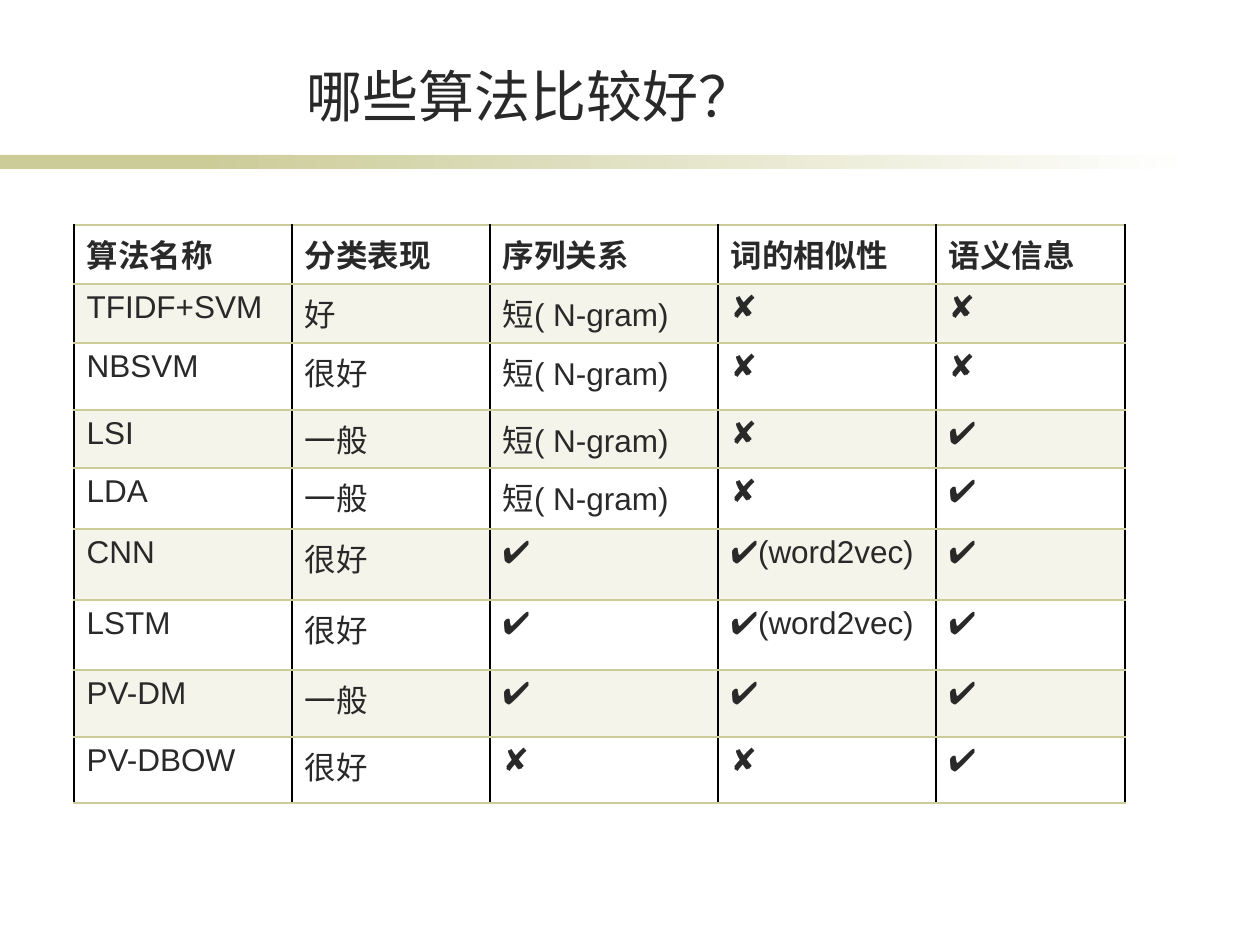
from pptx import Presentation
from pptx.dml.color import RGBColor as Rgb
from pptx.enum.shapes import MSO_SHAPE as Shape
from pptx.enum.text import MSO_ANCHOR as Anchor, PP_ALIGN as Align
from pptx.oxml import parse_xml
from pptx.oxml.ns import nsdecls, qn
from pptx.util import Pt
from lxml.etree import SubElement

SCALE = 914400 // 126
COLORS = {"ink": "292929", "olive": "CCCC99", "white": "FFFFFF", "black": "000000"}
NO, YES = "✘", "✔"
SHORT = "短( N-gram)"
VECTORS = YES + "(word2vec)"
ROWS = [
    ["算法名称", "分类表现", "序列关系", "词的相似性", "语义信息"],
    ["TFIDF+SVM", "好", SHORT, NO, NO],
    ["NBSVM", "很好", SHORT, NO, NO],
    ["LSI", "一般", SHORT, NO, YES],
    ["LDA", "一般", SHORT, NO, YES],
    ["CNN", "很好", YES, VECTORS, YES],
    ["LSTM", "很好", YES, VECTORS, YES],
    ["PV-DM", "一般", YES, YES, YES],
    ["PV-DBOW", "很好", NO, NO, YES],
]
COLUMN_WIDTHS = [218, 198, 228, 218, 189]
ROW_HEIGHTS = [59, 59, 67, 58, 61, 71, 70, 67, 66]


def px(*lengths):
    return [length * SCALE for length in lengths]


def color(name):
    return Rgb.from_string(COLORS[name])


def write(frame, text, size=18, bold=False, align=Align.LEFT, anchor=Anchor.TOP):
    frame.vertical_anchor = anchor
    frame.word_wrap = True
    para = frame.paragraphs[0]
    para.alignment = align
    span = para.add_run()
    span.text = text
    span.font.name = "Arial"
    span.font.size = Pt(size)
    span.font.bold = bold
    span.font.color.rgb = color("ink")


def add_bar(page, left, width, fade=False):
    bar = page.shapes.add_shape(Shape.RECTANGLE, *px(left, 155, width, 14))
    bar.shadow.inherit = False
    bar.line.fill.background()
    if not fade:
        bar.fill.solid()
        bar.fill.fore_color.rgb = color("olive")
        return
    bar.fill.gradient()
    bar.fill.gradient_angle = 0
    for stop, name in zip(bar.fill.gradient_stops, ("olive", "white")):
        stop.color.rgb = color(name)


def add_title(page, text):
    box = page.shapes.add_textbox(*px(144, 55, 774, 80))
    write(box.text_frame, text, size=32, align=Align.CENTER, anchor=Anchor.BOTTOM)


def shade(cell, banded):
    if not banded:
        cell.fill.background()
        return
    cell.fill.solid()
    cell.fill.fore_color.rgb = color("olive")
    tint = cell._tc.tcPr.find(qn("a:solidFill"))[0]
    SubElement(tint, qn("a:alpha")).set("val", "20000")


def set_borders(cell):
    sides = {"L": "black", "R": "black", "T": "olive", "B": "olive"}
    for index, (side, name) in enumerate(sides.items()):
        line = parse_xml(
            f'<a:ln{side} {nsdecls("a")} w="12192"><a:solidFill>'
            f'<a:srgbClr val="{COLORS[name]}"/></a:solidFill></a:ln{side}>'
        )
        cell._tc.tcPr.insert(index, line)


def add_comparison(page):
    size = sum(COLUMN_WIDTHS), sum(ROW_HEIGHTS)
    table = page.shapes.add_table(
        len(ROWS), len(COLUMN_WIDTHS), *px(74, 225, *size)
    ).table
    for column, width in zip(table.columns, px(*COLUMN_WIDTHS)):
        column.width = width
    for row, height in zip(table.rows, px(*ROW_HEIGHTS)):
        row.height = height
    for row_index, texts in enumerate(ROWS):
        for column_index, text in enumerate(texts):
            cell = table.cell(row_index, column_index)
            write(cell.text_frame, text, bold=row_index == 0)
            shade(cell, row_index % 2 == 1)
            set_borders(cell)


def main():
    deck = Presentation()
    deck.slide_width, deck.slide_height = px(1260, 945)
    page = deck.slides.add_slide(deck.slide_layouts[6])
    add_bar(page, 0, 294)
    add_bar(page, 199, 998, fade=True)
    add_title(page, "哪些算法比较好？")
    add_comparison(page)
    deck.save("out.pptx")


main()
